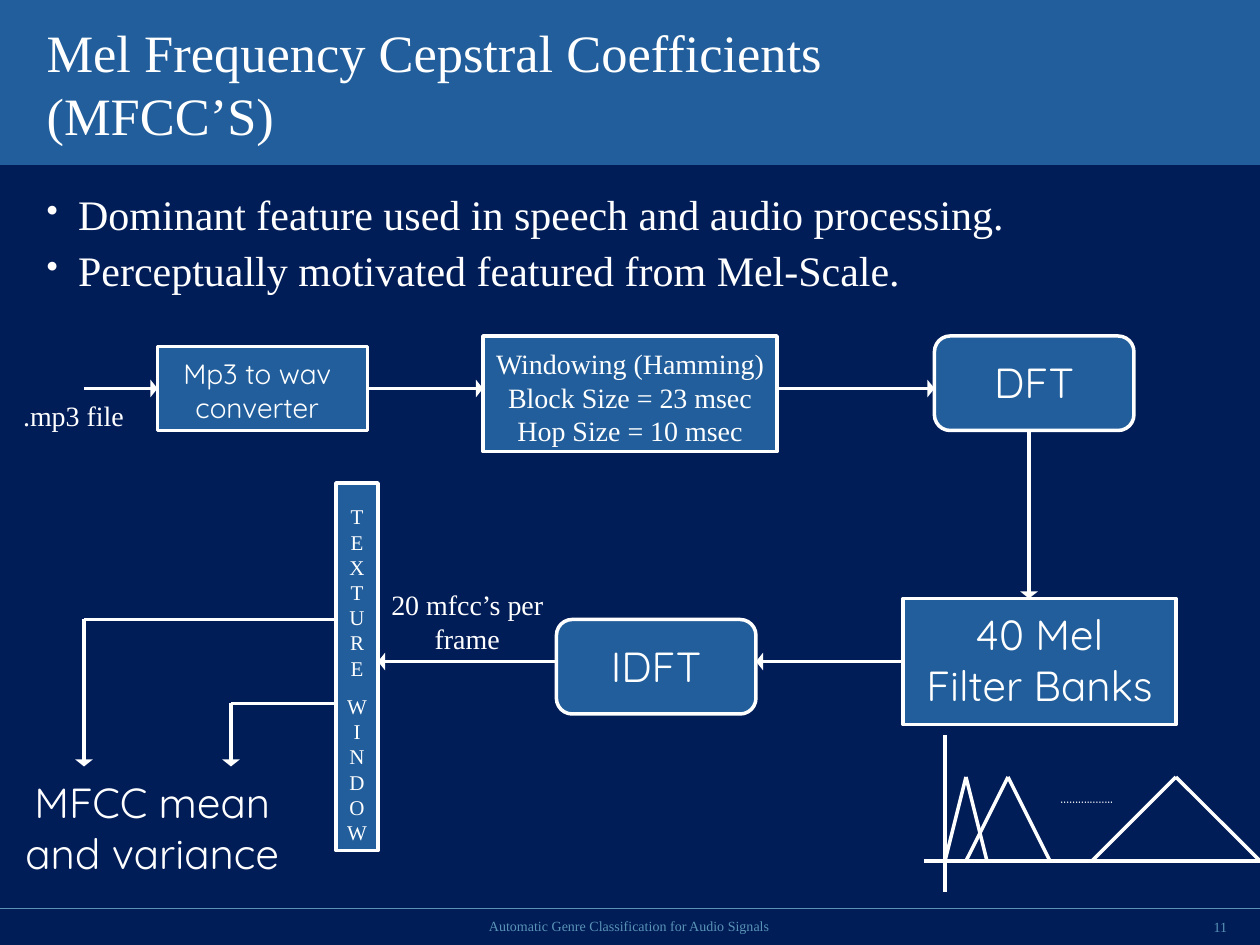
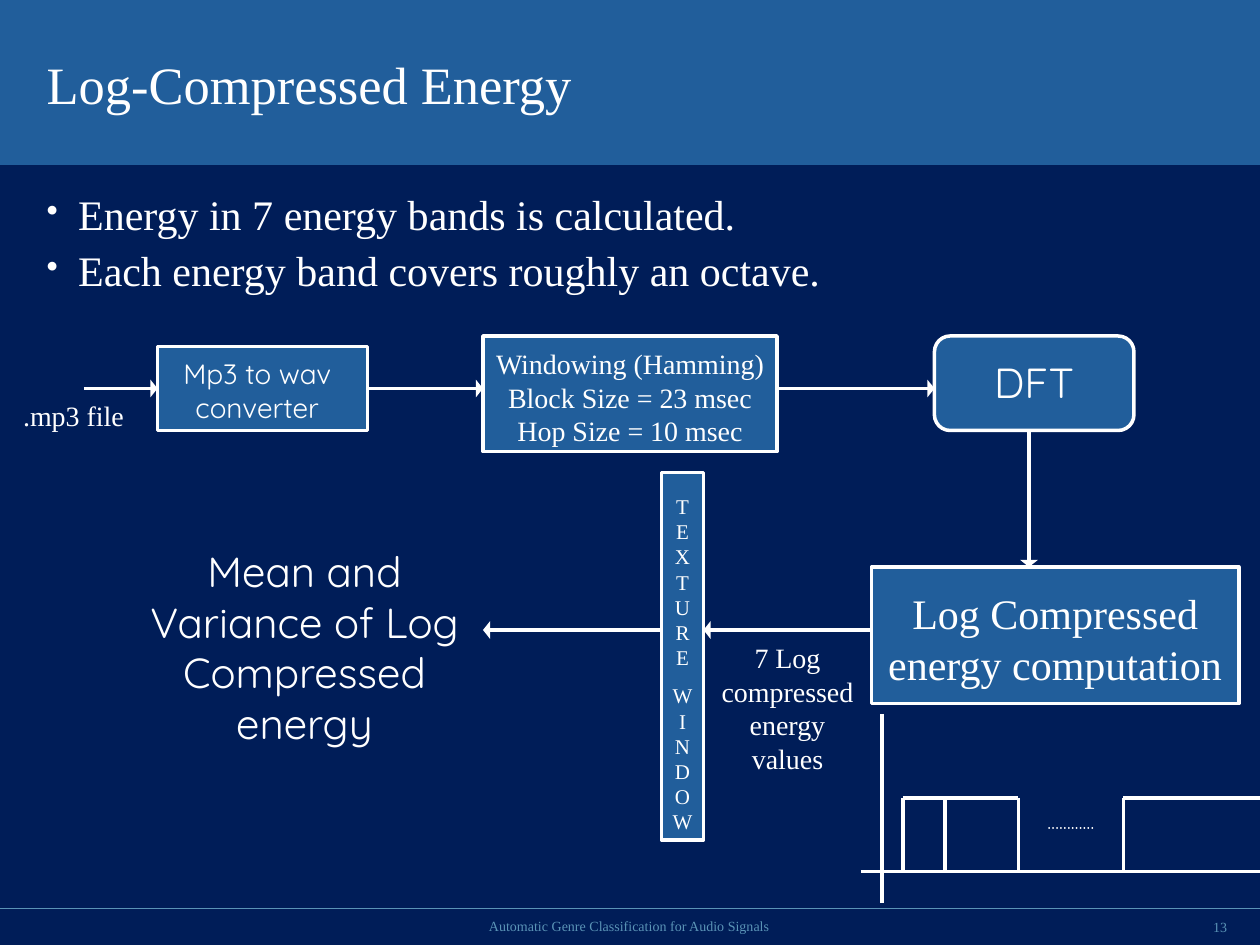
from lxml import etree
from pptx import Presentation
from pptx import util as u
from pptx.dml.color import RGBColor
from pptx.enum import shapes, text
from pptx.oxml.ns import qn

NAVY = RGBColor(0x00, 0x1D, 0x58)
BLUE = RGBColor(0x21, 0x5E, 0x9B)
WHITE = RGBColor(0xFF, 0xFF, 0xFF)
STEEL = RGBColor(0x5A, 0x93, 0xB6)
SERIF = "Times New Roman"
SANS = "Quicksand"
LINE_HEIGHT = 1.2
RECTANGLE = shapes.MSO_SHAPE.RECTANGLE
ROUNDED = shapes.MSO_SHAPE.ROUNDED_RECTANGLE
LEFT_SIDE, RIGHT_SIDE = 1, 3
WIDTH, HEIGHT = 120, 90  # slide size in grid units


def grid(units):
    """Length of grid units; twelve of them make 2.54 cm."""
    return u.Cm(2.54 * units / 12)


def add_xml(parent, tag, **attributes):
    return etree.SubElement(parent, qn(tag), attributes)


class Deck:
    """Shared style and the current slide; positions are in grid units."""

    def __init__(self):
        self.presentation = Presentation()
        self.presentation.slide_width = grid(WIDTH)
        self.presentation.slide_height = grid(HEIGHT)
        self.slide = None

    def new_slide(self, title, bullets, number):
        self.slide = self.presentation.slides.add_slide(self.presentation.slide_layouts[6])
        fill = self.slide.background.fill
        fill.solid()
        fill.fore_color.rgb = NAVY
        self.box(RECTANGLE, 0, 0, WIDTH, 15.72, outline=None)
        self.line((0, 86.52), (WIDTH, 86.52), color=STEEL, weight=0.75)
        middle = text.MSO_ANCHOR.MIDDLE
        self.label(title, 4.44, 2.52, 96, 10.8, 30,
                   align=text.PP_ALIGN.LEFT, anchor=middle)
        self.bullets(bullets)
        self.label("Automatic Genre Classification for Audio Signals",
                   20.4, 87.24, 79.08, 1.8, 8, color=STEEL, anchor=middle)
        self.label(str(number), 111.6, 87.36, 5.28, 1.8, 8, color=STEEL,
                   align=text.PP_ALIGN.RIGHT, anchor=middle)

    def prepare_frame(self, shape, insets=(0, 0, 0, 0), anchor=text.MSO_ANCHOR.TOP):
        frame = shape.text_frame
        frame.word_wrap = True
        frame.vertical_anchor = anchor
        (frame.margin_left, frame.margin_top,
         frame.margin_right, frame.margin_bottom) = map(grid, insets)
        return frame

    def add_paragraphs(self, frame, lines, size, font=SERIF, color=WHITE,
                       align=text.PP_ALIGN.CENTER, tightness=1):
        """Fill the frame with one paragraph for each line and return them."""
        for index, line in enumerate(lines):
            paragraph = frame.add_paragraph() if index else frame.paragraphs[0]
            paragraph.alignment = align
            paragraph.line_spacing = u.Pt(size * LINE_HEIGHT * tightness)
            run = paragraph.add_run()
            run.text = line
            run.font.size = u.Pt(size)
            run.font.name = font
            run.font.color.rgb = color
        return frame.paragraphs

    def label(self, words, left, top, width, height, size, font=SERIF, color=WHITE,
              align=text.PP_ALIGN.CENTER, anchor=text.MSO_ANCHOR.TOP):
        shape = self.slide.shapes.add_textbox(*map(grid, (left, top, width, height)))
        frame = self.prepare_frame(shape, anchor=anchor)
        self.add_paragraphs(frame, [words], size, font, color, align)

    def bullets(self, lines):
        shape = self.slide.shapes.add_textbox(*map(grid, (4.44, 16.68, 110.16, 69.12)))
        frame = self.prepare_frame(shape, (0, 1.8, 0, 0))
        for paragraph in self.add_paragraphs(frame, lines, 24, align=text.PP_ALIGN.LEFT,
                                             tightness=0.9):
            paragraph.space_before = paragraph.space_after = u.Pt(3)
            properties = paragraph._p.get_or_add_pPr()
            properties.set("marL", str(grid(3)))
            properties.set("indent", str(-grid(3)))
            add_xml(add_xml(properties, "a:buClr"), "a:srgbClr", val=str(WHITE))
            add_xml(properties, "a:buSzPct", val="80000")
            add_xml(properties, "a:buChar", char="•")

    def box(self, kind, left, top, width, height, outline=WHITE):
        shape = self.slide.shapes.add_shape(kind, *map(grid, (left, top, width, height)))
        shape.shadow.inherit = False
        shape.fill.solid()
        shape.fill.fore_color.rgb = BLUE
        if outline is None:
            shape.line.fill.background()
        else:
            shape.line.color.rgb = outline
            shape.line.width = u.Pt(2)
        return shape

    def node(self, lines, at, size, font=SERIF, insets=(1, 1, 1, 0), kind=RECTANGLE):
        shape = self.box(kind, *at)
        frame = self.prepare_frame(shape, insets)
        for paragraph in self.add_paragraphs(frame, lines, size, font)[1:]:
            paragraph.space_before = u.Pt(7.5)
        return shape

    def transform(self, words, left, top):
        return self.node([words], (left, top, 19, 9), 24, SANS, (1, 1.55, 1, 0), ROUNDED)

    def texture_window(self, left, top):
        """Box so narrow that its words break after every letter."""
        self.node(["TEXTURE", "WINDOW"], (left, top, 4, 35), 12, insets=(1, 2, 1, 0))

    def line(self, start, end, color=WHITE, weight=2.0):
        connector = self.slide.shapes.add_connector(
            shapes.MSO_CONNECTOR.STRAIGHT, *map(grid, (*start, *end)))
        connector.line.color.rgb = color
        connector.line.width = u.Pt(weight)
        add_xml(connector._element.spPr, "a:effectLst")
        return connector

    def lines(self, *segments):
        for start, end in segments:
            self.line(start, end)

    def arrow(self, start, end, source=None, target=None):
        """Line with a head; source and target are (shape, side) to join."""
        connector = self.line(start, end)
        add_xml(connector._element.spPr.find(qn("a:ln")), "a:tailEnd",
                type="triangle", w="lg", len="sm")
        if source:
            connector.begin_connect(*source)
        if target:
            connector.end_connect(*target)

    def front_end(self, next_top):
        """Steps from the file to the DFT, with an arrow down to the next step."""
        self.label(".mp3 file", 2, 38, 10, 6.4, 16)
        converter = self.node(["Mp3 to wav converter"], (15, 33, 20, 8), 16, SANS, (1, 1, 2, 0))
        self.node(["Windowing (Hamming) Block Size = 23 msec Hop Size = 10 msec"],
                  (46, 32, 28, 11), 16)
        self.transform("DFT", 89, 32)
        self.arrow((8, 37), (15, 37), target=(converter, LEFT_SIDE))
        self.arrow((35, 37), (46, 37), source=(converter, RIGHT_SIDE))
        self.arrow((74, 37), (89, 37))
        self.arrow((98, 41), (98, next_top))


def mfcc_slide(deck):
    deck.new_slide("Mel Frequency Cepstral Coefficients (MFCC’S)",
                   ["Dominant feature used in speech and audio processing.",
                    "Perceptually motivated featured from Mel-Scale."], 11)
    deck.front_end(next_top=57)
    filter_banks = deck.node(["40 Mel Filter Banks"], (86, 57, 26, 12), 24, SANS, (2, 1, 2, 0))
    deck.transform("IDFT", 53, 59)
    deck.texture_window(32, 46)
    deck.arrow((86, 63), (72, 63), source=(filter_banks, LEFT_SIDE))
    deck.arrow((53, 63), (36, 63))
    deck.label("20 mfcc’s per frame", 37, 56, 15, 6.4, 16)

    for x, y in ((8, 59), (22, 67)):
        deck.line((32, y), (x, y))
        deck.arrow((x, y), (x, 73))
    deck.label("MFCC mean and variance", 0, 74, 29, 9.6, 24, SANS)

    base = 82
    deck.lines(((90, 70), (90, 85)), ((88, base), (WIDTH, base)))
    for left, peak, right in ((90, 92, 94), (92, 96, 100), (104, 112, WIDTH)):
        deck.lines(((peak, 74), (left, base)), ((peak, 74), (right, base)))
    deck.label("……….……..", 99, 75, 9, 1.8, 9, SANS)


def energy_slide(deck):
    deck.new_slide("Log-Compressed Energy",
                   ["Energy in 7 energy bands is calculated.",
                    "Each energy band covers roughly an octave."], 13)
    deck.front_end(next_top=54)
    deck.node(["Log Compressed energy computation"], (83, 54, 35, 13), 24, insets=(1, 2, 1, 0))
    deck.texture_window(63, 45)
    deck.arrow((83, 60), (67, 60))
    deck.arrow((63, 60), (46, 60))
    deck.label("7 Log compressed energy values", 68, 61, 14, 12.8, 16)
    deck.label("Mean and Variance of Log Compressed energy", 14, 52, 30, 19.2, 24, SANS)

    base, top = 83, 76
    deck.lines(((84, 68), (84, 86)), ((82, base), (WIDTH, base)))
    for x in (86, 90, 97, 107):
        deck.line((x, top), (x, base))
    for left, right in ((86, 90), (90, 97), (107, WIDTH)):
        deck.line((left, top), (right, top))
    deck.label("…………", 98, 77, 8, 2.4, 12, SANS)


def main():
    deck = Deck()
    mfcc_slide(deck)
    energy_slide(deck)
    deck.presentation.save("out.pptx")


if __name__ == "__main__":
    main()
